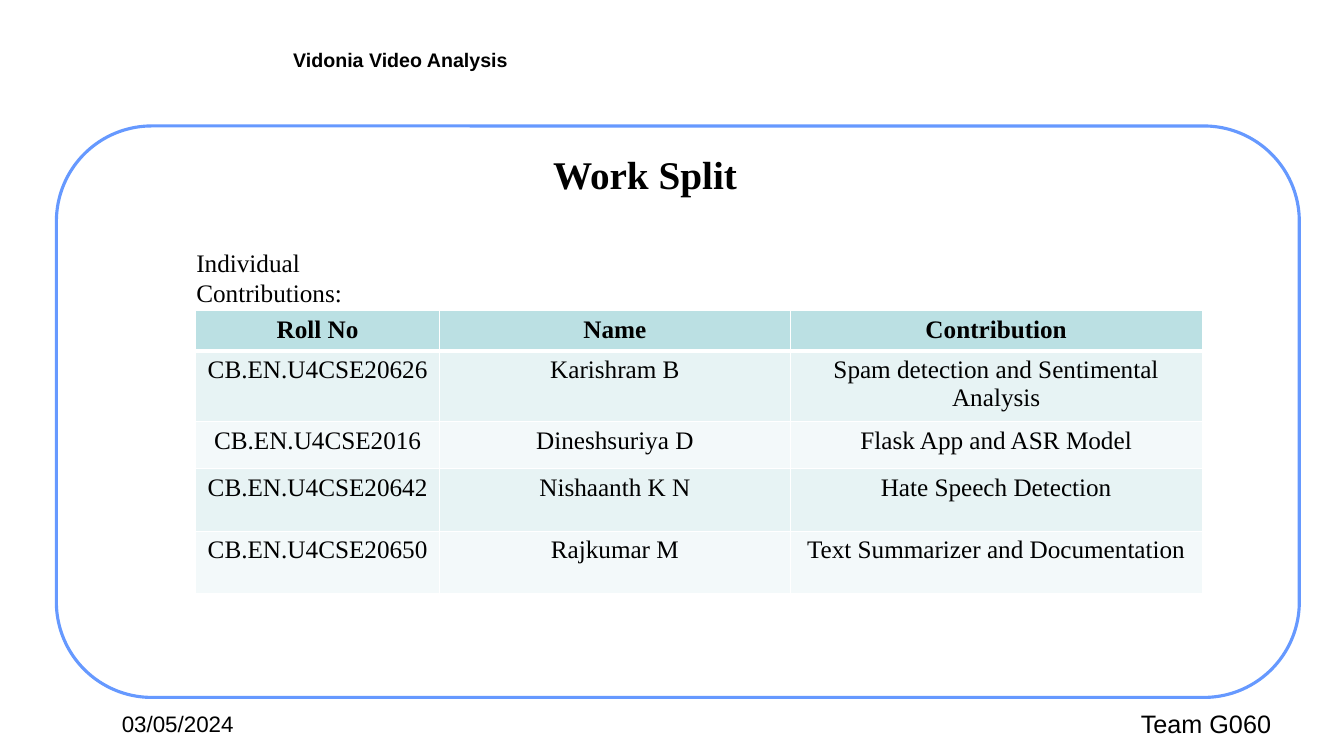
from lxml import etree
from pptx import Presentation
from pptx.dml.color import RGBColor
from pptx.enum import shapes, text
from pptx.oxml import ns
from pptx.util import Pt

# Content
CONTRIBUTIONS = [
    ("Roll No", "Name", "Contribution"),
    ("CB.EN.U4CSE20626", "Karishram B", "Spam detection and Sentimental Analysis"),
    ("CB.EN.U4CSE2016", "Dineshsuriya D", "Flask App and ASR Model"),
    ("CB.EN.U4CSE20642", "Nishaanth K N", "Hate Speech Detection"),
    ("CB.EN.U4CSE20650", "Rajkumar M", "Text Summarizer and Documentation"),
]
COLUMN_WIDTHS = (174.4, 250.3, 294.4)
ROW_HEIGHTS = (28, 50, 33.8, 44.6, 44.6)


class Theme:
    sans, serif = "Arial", "Times New Roman"
    ink, white, frame = "000000", "FFFFFF", "6699FF"
    header, bands = "BBE0E3", ("E7F3F4", "F3F9FA")
    title, body, date, running = 28, 18, 16, 14
    thin, thick = 1, 3


# Wording, box (left, top, width, height), font, size, extra settings
LABELS = [
    ("Vidonia Video Analysis", (202.3, 31, 519.8, 24.2), Theme.sans, Theme.running, {"bold": True}),
    ("Team G060", (807.8, 502.6, 130.3, 28.8), Theme.sans, Theme.body, {}),
    ("03/05/2024", (79.9, 504, 157, 26.6), Theme.sans, Theme.date, {}),
    ("Work Split", (80.6, 81.4, 760.3, 63.4), Theme.serif, Theme.title,
     {"bold": True, "centred": True, "anchor": text.MSO_ANCHOR.BOTTOM, "spacing": 0.9}),
    ("Individual Contributions:", (133.2, 172.8, 196.6, 28.8), Theme.serif, Theme.body,
     {"wrap": False}),
]


def color(value):
    return RGBColor.from_string(value)


def write(paragraph, wording, font, size, bold=False, centred=False):
    if centred:
        paragraph.alignment = text.PP_ALIGN.CENTER
    run = paragraph.add_run()
    run.text = wording
    run.font.name, run.font.size, run.font.bold = font, Pt(size), bold
    run.font.color.rgb = color(Theme.ink)


def add_label(slide, wording, box, font, size, bold=False, centred=False,
              anchor=text.MSO_ANCHOR.TOP, spacing=None, wrap=True):
    frame = slide.shapes.add_textbox(*map(Pt, box)).text_frame
    frame.word_wrap = wrap
    frame.vertical_anchor = anchor
    paragraph = frame.paragraphs[0]
    if spacing:
        paragraph.line_spacing = spacing
    write(paragraph, wording, font, size, bold, centred)


def add_border(cell, side, width):
    properties = cell._tc.get_or_add_tcPr()
    line = etree.SubElement(properties, ns.qn(f"a:ln{side}"), w=str(Pt(width)))
    fill = etree.SubElement(line, ns.qn("a:solidFill"))
    etree.SubElement(fill, ns.qn("a:srgbClr"), val=Theme.white)


def add_contributions(slide):
    table = slide.shapes.add_table(
        len(CONTRIBUTIONS), len(COLUMN_WIDTHS), Pt(139.7), Pt(221.8),
        Pt(sum(COLUMN_WIDTHS)), Pt(sum(ROW_HEIGHTS))).table
    for column, width in zip(table.columns, COLUMN_WIDTHS):
        column.width = Pt(width)
    for index, (row, height, wordings) in enumerate(zip(table.rows, ROW_HEIGHTS, CONTRIBUTIONS)):
        row.height = Pt(height)
        is_header = index == 0
        widths = {"L": Theme.thin, "R": Theme.thin,
                  "T": Theme.thick if index == 1 else Theme.thin,
                  "B": Theme.thick if is_header else Theme.thin}
        for cell, wording in zip(row.cells, wordings):
            for side, width in widths.items():
                add_border(cell, side, width)
            cell.fill.solid()
            cell.fill.fore_color.rgb = color(
                Theme.header if is_header else Theme.bands[(index - 1) % 2])
            write(cell.text_frame.paragraphs[0], wording, Theme.serif, Theme.body,
                  bold=is_header, centred=True)


def main():
    presentation = Presentation()
    presentation.slide_width, presentation.slide_height = Pt(960), Pt(540)
    slide = presentation.slides.add_slide(presentation.slide_layouts[6])

    # Rounded frame
    frame = slide.shapes.add_shape(
        shapes.MSO_SHAPE.ROUNDED_RECTANGLE, Pt(40.3), Pt(90), Pt(887.8), Pt(408.2))
    frame.adjustments[0] = 0.167
    frame.shadow.inherit = False
    frame.fill.solid()
    frame.fill.fore_color.rgb = color(Theme.white)
    frame.line.color.rgb = color(Theme.frame)
    frame.line.width = Pt(2.25)

    # Labels and table
    for wording, box, font, size, settings in LABELS:
        add_label(slide, wording, box, font, size, **settings)
    add_contributions(slide)

    presentation.save("out.pptx")


if __name__ == "__main__":
    main()
